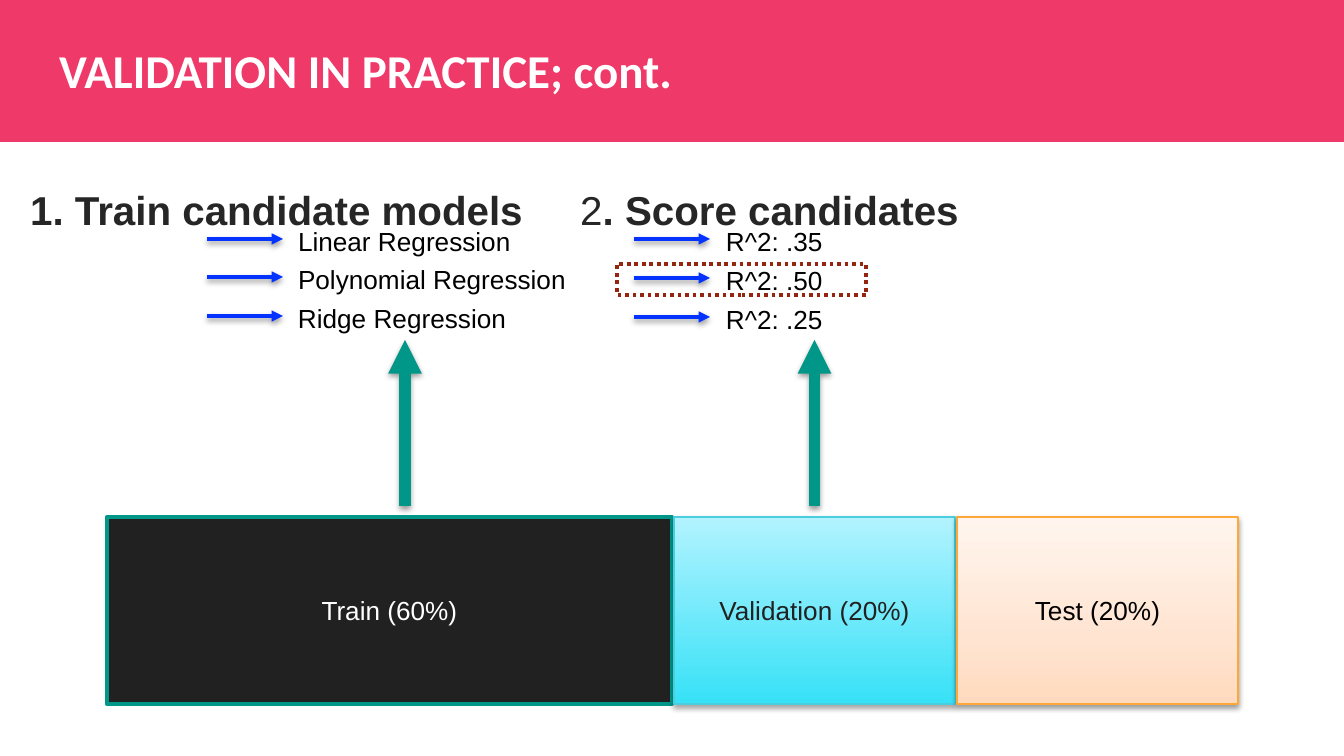
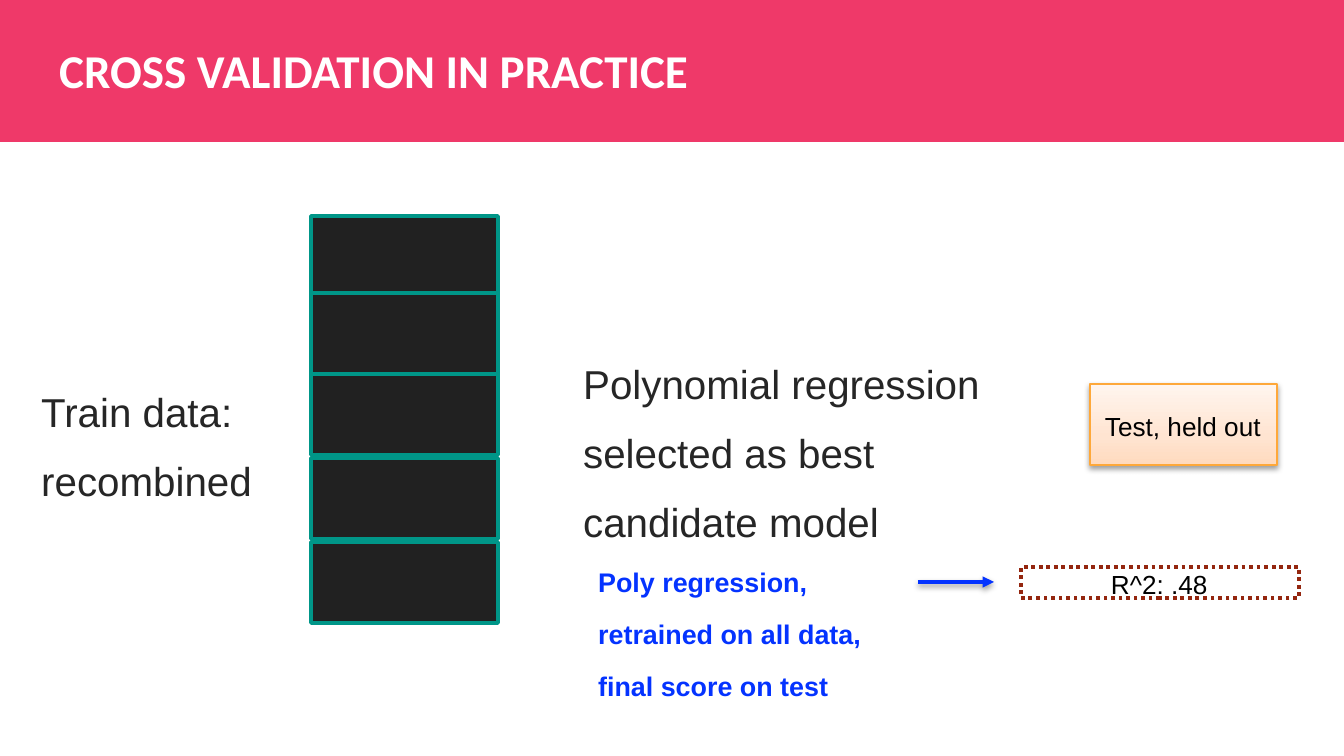
from lxml import etree
from pptx import Presentation
from pptx.dml.color import RGBColor
from pptx.enum.dml import MSO_LINE
from pptx.enum.shapes import MSO_CONNECTOR, MSO_SHAPE
from pptx.enum.text import MSO_ANCHOR, MSO_AUTO_SIZE, PP_ALIGN
from pptx.oxml import parse_xml
from pptx.oxml.ns import nsdecls, qn
from pptx.util import Emu, Pt

# Shared look
WIDTH, HEIGHT = 1344, 756
SCALE = 9144000 / WIDTH
PINK, WHITE, BLACK = "EF3969", "FFFFFF", "000000"
DARK, TEAL, BLUE, RUST, BODY = "212121", "009688", "0433FF", "94260F", "262626"
AQUA = [(0, "37E1F7"), (100, "B2F3FF")]
PEACH = [(0, "FFDABE"), (35, "FFE4D1"), (100, "FFF5EE")]
AQUA_EDGE, PEACH_EDGE = "48CEDF", "FEA83A"
SHADOW_ALPHA = 38

# Content: left, top, width, height in pixels
SPLITS = [
    ("Train (60%)", (107, 517, 565, 187), DARK, TEAL, 2, WHITE, None),
    ("Validation (20%)", (674, 517, 281, 187), AQUA, AQUA_EDGE, 0.75, DARK, 35),
    ("Test (20%)", (957, 517, 281, 187), PEACH, PEACH_EDGE, 0.75, BLACK, SHADOW_ALPHA),
]
# heading runs, heading left, arrow left, label left, row pitch, big arrow x, labels
STEPS = [
    ([("1. Train candidate models", True)], 17, 207, 298, 38.5, 405,
     ["Linear Regression", "Polynomial Regression", "Ridge Regression"]),
    ([("2", False), (". Score candidates", True)], 567, 634, 726, 39, 814.5,
     ["R^2: .35", "R^2: .50", "R^2: .25"]),
]
FIRST_ROW, ARROW_LENGTH = 239, 76
FOLD_TOPS = [216, 293, 374, 458, 542]
FOLD_LEFT, FOLD_SIZE = 311, (187, 81)
NOTES = [
    (["Train data:", "recombined"], (28, 353, 241, 179), 21.6, 37, BODY, False),
    (["Polynomial regression selected as best candidate model"],
     (570, 325, 450, 179), 21.6, 37, BODY, False),
    (["Poly regression, retrained on all data, final score on test"],
     (585, 532, 309, 126), 14.4, 28, BLUE, True),
]


def px(value):
    return Emu(round(value * SCALE))


def color(hex_string):
    return RGBColor.from_string(hex_string)


def set_font(paragraph, size, hex_string, bold=False, name="Arial"):
    font = paragraph.font
    font.name, font.size, font.bold = name, Pt(size), bold
    font.color.rgb = color(hex_string)


def set_margins(frame, margin):
    frame.margin_left = frame.margin_right = px(margin)
    frame.margin_top = frame.margin_bottom = px(margin)


def add_effects(part, alpha=None):
    """Give the part a soft drop shadow, or none at all."""
    properties = part._element.spPr
    for effects in properties.findall(qn("a:effectLst")):
        properties.remove(effects)
    shadow = "" if alpha is None else (
        f'<a:outerShdw blurRad="{Pt(3)}" dist="{Pt(1.6)}" dir="5400000" rotWithShape="0">'
        f'<a:srgbClr val="{BLACK}"><a:alpha val="{alpha * 1000}"/></a:srgbClr></a:outerShdw>')
    properties.append(parse_xml(
        f'<a:effectLst {nsdecls("a")}>{shadow}</a:effectLst>'))


def fill_gradient(shape, stops):
    """Fill upwards: the first stop lies at the bottom."""
    marks = "".join(f'<a:gs pos="{place * 1000}"><a:srgbClr val="{tone}"/></a:gs>'
                    for place, tone in stops)
    shape._element.spPr.find(qn("a:prstGeom")).addnext(parse_xml(
        f'<a:gradFill {nsdecls("a")} rotWithShape="1"><a:gsLst>{marks}</a:gsLst>'
        f'<a:lin ang="16200000" scaled="0"/></a:gradFill>'))


def add_box(slide, place, fill=None, edge=None, weight=2, alpha=None):
    box = slide.shapes.add_shape(MSO_SHAPE.RECTANGLE, *map(px, place))
    if fill is None:
        box.fill.background()
    elif isinstance(fill, str):
        box.fill.solid()
        box.fill.fore_color.rgb = color(fill)
    else:
        fill_gradient(box, fill)
    if edge is None:
        box.line.fill.background()
    else:
        box.line.color.rgb = color(edge)
        box.line.width = Pt(weight)
    box.shadow.inherit = False
    add_effects(box, alpha)
    return box


def add_dotted_box(slide, place):
    add_box(slide, place, edge=RUST).line.dash_style = MSO_LINE.ROUND_DOT


def add_arrow(slide, start, end, hex_string=BLUE, weight=2):
    arrow = slide.shapes.add_connector(
        MSO_CONNECTOR.STRAIGHT, *map(px, start + end))
    arrow.line.color.rgb = color(hex_string)
    arrow.line.width = Pt(weight)
    etree.SubElement(arrow.line._get_or_add_ln(), qn("a:tailEnd"), type="triangle")
    add_effects(arrow, SHADOW_ALPHA)


def add_right_arrow(slide, left, y):
    add_arrow(slide, (left, y), (left + ARROW_LENGTH, y))


def add_text(slide, place, paragraphs, size, hex_string, bold=False,
             spacing=None, name="Arial"):
    """Each paragraph is a list of (text, bold) runs or a plain string."""
    frame = slide.shapes.add_textbox(*map(px, place)).text_frame
    frame.word_wrap = True
    set_margins(frame, 13.44)
    for index, content in enumerate(paragraphs):
        paragraph = frame.paragraphs[0] if index == 0 else frame.add_paragraph()
        set_font(paragraph, size, hex_string, bold, name)
        if spacing:
            paragraph.line_spacing = Pt(spacing)
        if isinstance(content, str):
            content = [(content, bold)]
        for text, run_bold in content:
            run = paragraph.add_run()
            run.text = text
            if run_bold != bold:
                run.font.bold = run_bold


def add_label(slide, left, top, width, text):
    frame = slide.shapes.add_textbox(*map(px, (left, top, width, 29))).text_frame
    frame.word_wrap = False
    frame.auto_size = MSO_AUTO_SIZE.SHAPE_TO_FIT_TEXT
    set_margins(frame, 0)
    frame.text = text
    set_font(frame.paragraphs[0], 14, BLACK)


def add_titled_slide(deck, title):
    slide = deck.slides.add_slide(deck.slide_layouts[6])
    add_box(slide, (0, 0, WIDTH, 142), PINK)
    add_text(slide, (46, 28, 972, 85), [title], 25.2, WHITE, True, name="Calibri")
    return slide


deck = Presentation()
deck.slide_width, deck.slide_height = px(WIDTH), px(HEIGHT)

# Slide 1: data split, with training and scoring above it
practice = add_titled_slide(deck, "VALIDATION IN PRACTICE; cont.")
for text, place, fill, edge, weight, ink, alpha in SPLITS:
    frame = add_box(practice, place, fill, edge, weight, alpha).text_frame
    set_margins(frame, 0)
    frame.vertical_anchor = MSO_ANCHOR.MIDDLE
    frame.text = text
    frame.paragraphs[0].alignment = PP_ALIGN.CENTER
    set_font(frame.paragraphs[0], 14, ink)

LABEL_WIDTHS = {"Linear Regression": 213, "Polynomial Regression": 268,
                "Ridge Regression": 209}
SCORE_WIDTH = 98
for heading, heading_left, arrow_left, label_left, pitch, big_x, labels in STEPS:
    add_text(practice, (heading_left, 151, 598, 81), [heading], 21.6, BODY,
             bold=heading[-1][1], spacing=37)
    add_arrow(practice, (big_x, 506), (big_x, 340), TEAL, 6)
    for row, label in enumerate(labels):
        y = FIRST_ROW + round(row * pitch)
        add_right_arrow(practice, arrow_left, y)
        add_label(practice, label_left, y - 14,
                  LABEL_WIDTHS.get(label, SCORE_WIDTH), label)
add_dotted_box(practice, (617, 264, 249, 31))

# Slide 2: recombined folds, chosen model and final score
cross = add_titled_slide(deck, "CROSS VALIDATION IN PRACTICE")
for top in FOLD_TOPS:
    add_box(cross, (FOLD_LEFT, top, *FOLD_SIZE), DARK, TEAL)
add_box(cross, (1090, 384, *FOLD_SIZE), PEACH, PEACH_EDGE, 0.75, SHADOW_ALPHA)
add_label(cross, 1105, 410, 157, "Test, held out")
for paragraphs, place, size, spacing, ink, bold in NOTES:
    add_text(cross, place, paragraphs, size, ink, bold, spacing)
add_right_arrow(cross, 918, 582)
add_dotted_box(cross, (1021, 567, 278, 31))
add_label(cross, 1111, 568, SCORE_WIDTH, "R^2: .48")

deck.save("out.pptx")
